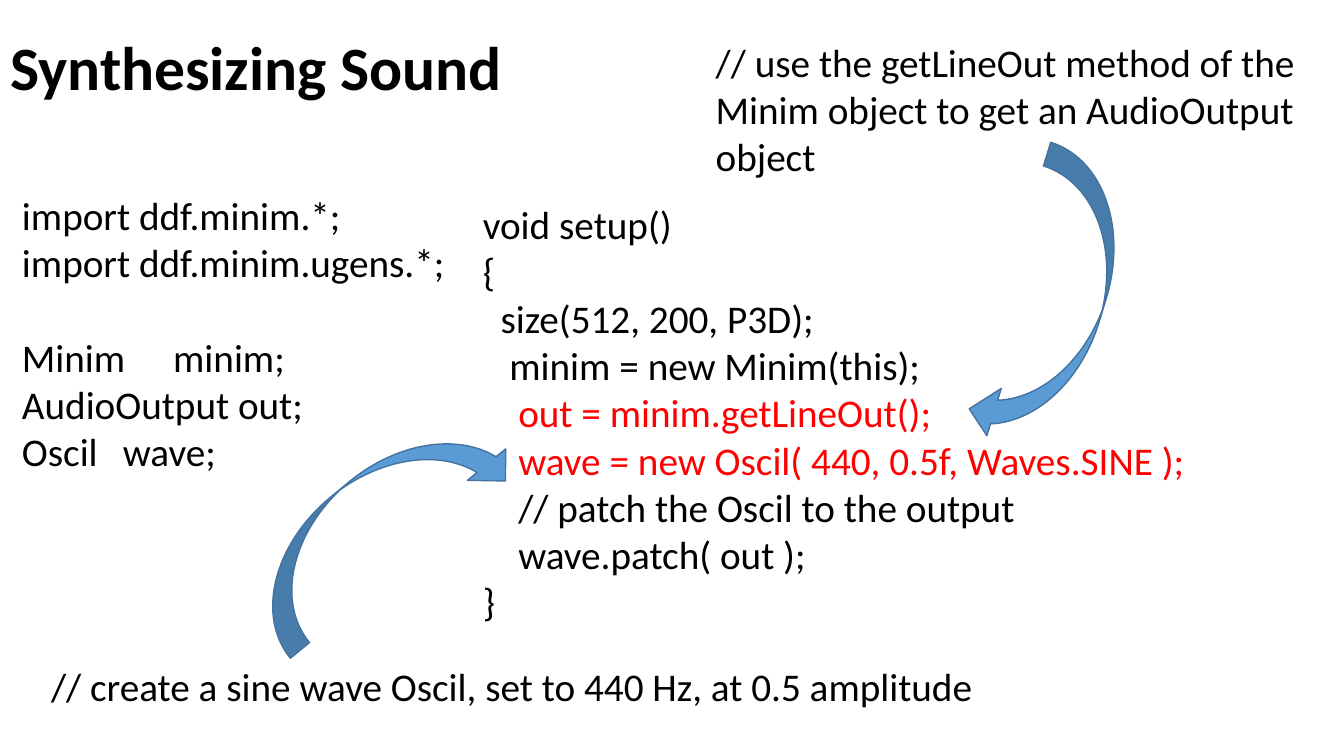
from dataclasses import dataclass

from pptx import Presentation, util as u
from pptx.dml.color import RGBColor
from pptx.enum import shapes, text
from pptx.oxml.ns import qn
from lxml import etree

CELL = u.Inches(0.1)  # side of one square of the layout grid
COLUMNS, ROWS = 133.3, 75
FONT = "Calibri"
BLACK, RED, BLUE, DARK_BLUE = "000000", "FF0000", "5B9BD5", "43739E"
CODE_SIZE = 28
SPACE = 0.88  # width of one space of code, in columns
BLANK_LINE = u.Pt(34)


@dataclass(frozen=True)
class Area:
    column: float
    row: float
    columns: float
    rows: float

    def lengths(self) -> tuple[int, int, int, int]:
        return (cells(self.column), cells(self.row),
                cells(self.columns), cells(self.rows))


@dataclass(frozen=True)
class Line:
    words: str
    indent: int = 0  # in spaces
    color: str = BLACK
    tab: float = 0  # tab stop, in columns
    gap_before: bool = False


@dataclass(frozen=True)
class TextBlock:
    area: Area
    lines: tuple[Line, ...]


@dataclass(frozen=True)
class CurvedArrow:
    area: Area
    rotation: float


TITLE_AREA = Area(0, -0.3, 115, 14.5)

BLOCKS = (
    TextBlock(Area(1.2, 18.5, 66.7, 29.3), (
        Line("import ddf.minim.*;"),
        Line("import ddf.minim.ugens.*;"),
        Line("Minim\tminim;", tab=16.4, gap_before=True),
        Line("AudioOutput out;"),
        Line("Oscil\twave;", tab=13.7),
    )),
    TextBlock(Area(46.9, 19.4, 79.1, 43.4), (
        Line("void setup()"),
        Line("{"),
        Line("size(512, 200, P3D);", indent=2),
        Line("minim = new Minim(this);", indent=3),
        Line("out = minim.getLineOut();", indent=4, color=RED),
        Line("wave = new Oscil( 440, 0.5f, Waves.SINE );", indent=4, color=RED),
        Line("// patch the Oscil to the output", indent=4),
        Line("wave.patch( out );", indent=4),
        Line("}"),
    )),
    TextBlock(Area(70, 3.3, 67.5, 15.1), (
        Line("// use the getLineOut method of the Minim object "
             "to get an AudioOutput object"),
    )),
    TextBlock(Area(3.2, 65.2, 108.6, 5.7), (
        Line("// create a sine wave Oscil, set to 440 Hz, at 0.5 amplitude",
             indent=1),
    )),
)

ARROWS = (
    CurvedArrow(Area(99.6, 14.9, 9.8, 30.1), 17),
    CurvedArrow(Area(32.4, 36.9, 9.8, 30.1), 230.5),
)


def cells(count: float) -> int:
    return round(count * CELL)


def rgb(value: str) -> RGBColor:
    return RGBColor.from_string(value)


def set_font(paragraph, size: float, color: str, bold: bool = False) -> None:
    font = paragraph.font
    font.name, font.size, font.bold = FONT, u.Pt(size), bold
    font.color.rgb = rgb(color)


def add_title(slide, words: str) -> None:
    title = slide.shapes.title
    title.left, title.top, title.width, title.height = TITLE_AREA.lengths()
    frame = title.text_frame
    frame.text = words
    frame.auto_size = text.MSO_AUTO_SIZE.NONE
    frame.vertical_anchor = text.MSO_ANCHOR.MIDDLE
    paragraph = frame.paragraphs[0]
    paragraph.alignment = text.PP_ALIGN.LEFT
    paragraph.line_spacing = 0.9
    set_font(paragraph, 44, BLACK, bold=True)


def format_line(paragraph, line: Line) -> None:
    paragraph.text = line.words
    set_font(paragraph, CODE_SIZE, line.color)
    if line.gap_before:
        paragraph.space_before = BLANK_LINE
    properties = paragraph._p.get_or_add_pPr()
    properties.set("marL", str(cells(line.indent * SPACE)))
    properties.set("indent", "0")
    if line.tab:
        stops = etree.Element(qn("a:tabLst"))
        etree.SubElement(stops, qn("a:tab"), pos=str(cells(line.tab)), algn="l")
        properties.find(qn("a:defRPr")).addprevious(stops)


def add_block(slide, block: TextBlock) -> None:
    frame = slide.shapes.add_textbox(*block.area.lengths()).text_frame
    frame.word_wrap = True
    frame.auto_size = text.MSO_AUTO_SIZE.SHAPE_TO_FIT_TEXT
    for index, line in enumerate(block.lines):
        paragraph = frame.add_paragraph() if index else frame.paragraphs[0]
        format_line(paragraph, line)


def add_arrow(slide, arrow: CurvedArrow) -> None:
    """Draw a curved arrow mirrored left to right, then rotated."""
    shape = slide.shapes.add_shape(
        shapes.MSO_SHAPE.CURVED_RIGHT_ARROW, *arrow.area.lengths())
    shape.rotation = arrow.rotation
    shape._element.spPr.find(qn("a:xfrm")).set("flipH", "1")
    shape.shadow.inherit = False
    shape.fill.solid()
    shape.fill.fore_color.rgb = rgb(BLUE)
    shape.line.color.rgb = rgb(DARK_BLUE)
    shape.line.width = u.Pt(1)


def main() -> None:
    presentation = Presentation()
    presentation.slide_width = cells(COLUMNS)
    presentation.slide_height = cells(ROWS)
    title_only = presentation.slide_layouts.get_by_name("Title Only")
    slide = presentation.slides.add_slide(title_only)
    add_title(slide, "Synthesizing Sound")
    for block in BLOCKS:
        add_block(slide, block)
    for arrow in ARROWS:
        add_arrow(slide, arrow)
    presentation.save("out.pptx")


if __name__ == "__main__":
    main()
